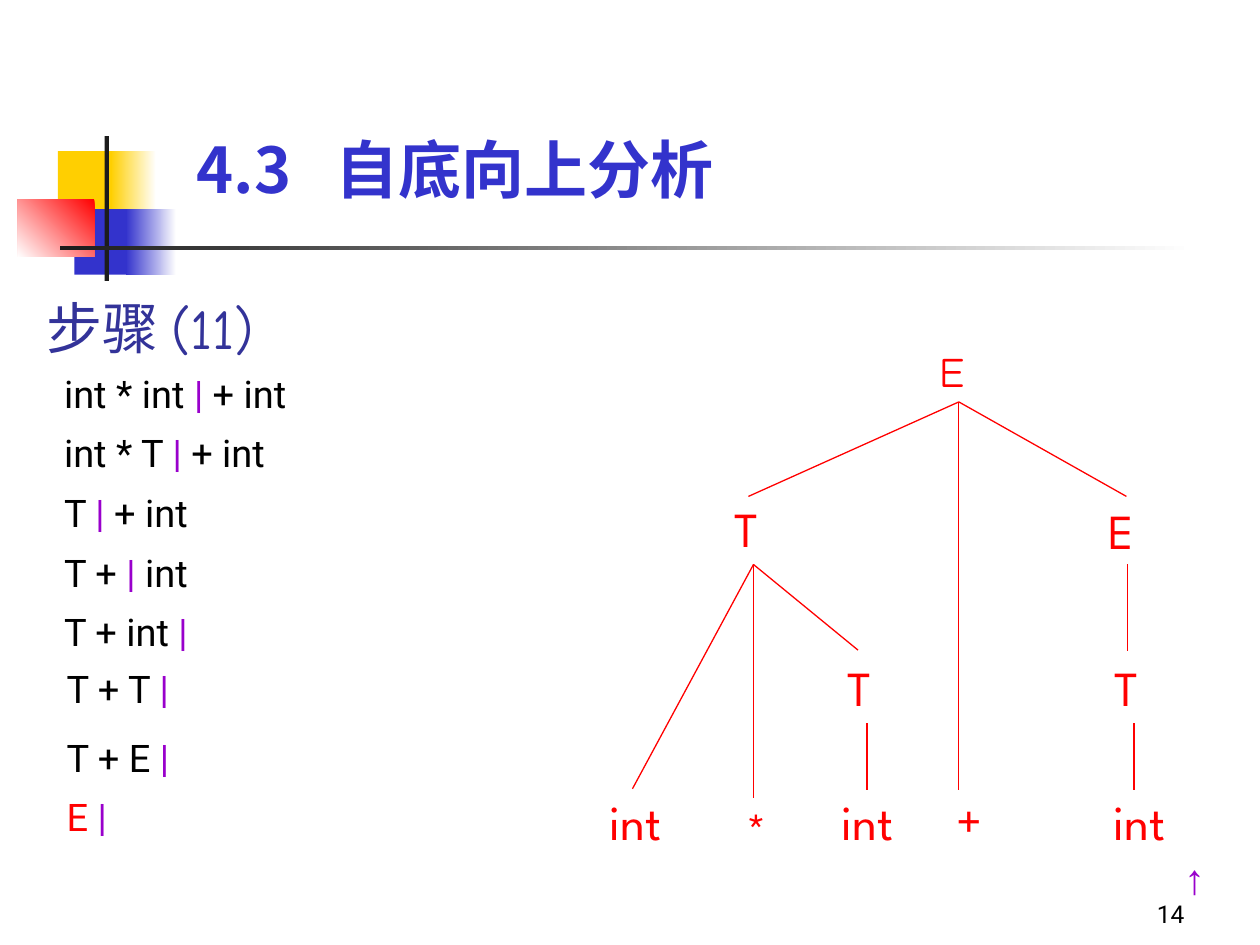
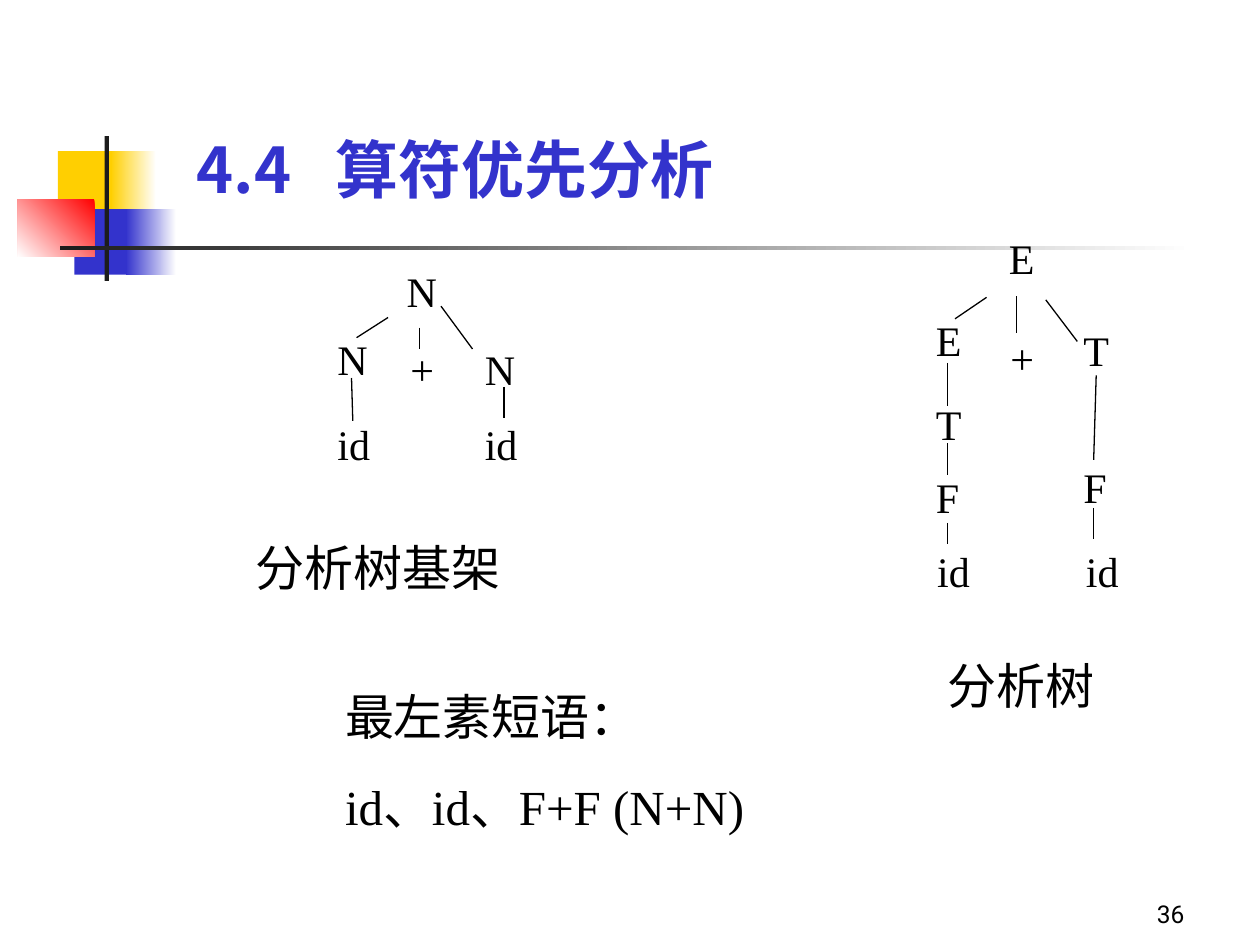
from lxml import etree
from pptx import Presentation
from pptx.dml.color import RGBColor
from pptx.enum.shapes import MSO_CONNECTOR, MSO_SHAPE
from pptx.enum.text import MSO_ANCHOR, MSO_AUTO_SIZE, PP_ALIGN
from pptx.oxml.ns import qn
from pptx.util import Inches, Pt

LEFT, RIGHT = PP_ALIGN.LEFT, PP_ALIGN.RIGHT
TOP, MIDDLE, BOTTOM = MSO_ANCHOR.TOP, MSO_ANCHOR.MIDDLE, MSO_ANCHOR.BOTTOM
NO_FIT = MSO_AUTO_SIZE.NONE
RECT, STRAIGHT = MSO_SHAPE.RECTANGLE, MSO_CONNECTOR.STRAIGHT
TITLE_ONLY = 5

COLS, ROWS = 100, 75
COLORS = {
    "black": "000000", "white": "FFFFFF", "ink": "1C1C1C", "blue": "3333CC",
    "navy": "333399", "gold": "FFCF01", "red": "FF0000", "purple": "9900CC",
}
CJK, BODY, SERIF = "Noto Sans CJK SC", "Roboto", "Times New Roman"
HAND, GEOMETRIC, ARROW_FONT = "Comic Neue", "League Spartan", "Arial"

# left, top, width, height, colours (two make a gradient), clockwise angle
EMBLEM = [
    (4.6, 12, 4.8, 5.2, ["gold"], 0),
    (8.8, 12, 3.6, 5.2, ["white", "gold"], 180),
    (5.9, 16.6, 4.6, 5.2, ["blue"], 0),
    (10, 16.6, 4, 5.2, ["white", "blue"], 180),
    (1.4, 15.8, 6.1, 4.6, ["red", "white"], 135),
    (8.3, 10.8, 0.35, 11.5, ["ink"], 0),
    (4.8, 19.5, 90, 0.35, ["white", "ink"], 180),
]


def rgb(name):
    return RGBColor.from_string(COLORS[name])


def write(tf, *paragraphs, size=24, font=SERIF, color="black", bold=False,
          align=LEFT, anchor=TOP, spacing=None, before=0, tab=None):
    """Fill a text frame; a paragraph is a string or a list of (text, colour)."""
    tf.word_wrap, tf.auto_size, tf.vertical_anchor = True, NO_FIT, anchor
    tf.margin_left = tf.margin_right = Inches(0.1)
    tf.margin_top = tf.margin_bottom = Inches(0.05)
    for i, runs in enumerate(paragraphs):
        p = tf.add_paragraph() if i else tf.paragraphs[0]
        p.alignment = align
        if spacing:
            p.line_spacing = spacing
        if i:
            p.space_before = Pt(before)
        if tab:
            tabs = etree.SubElement(p._p.get_or_add_pPr(), qn("a:tabLst"))
            etree.SubElement(tabs, qn("a:tab"), pos=str(Inches(tab)), algn="l")
        for text, shade in [(runs, color)] if isinstance(runs, str) else runs:
            r = p.add_run()
            r.text = text
            r.font.size, r.font.name, r.font.bold = Pt(size), font, bold
            r.font.color.rgb = rgb(shade)
            ea = etree.SubElement(r._r.get_or_add_rPr(), qn("a:ea"))
            ea.set("typeface", CJK)


class Deck:
    """Holds the presentation, its grid and the slide being drawn."""

    def __init__(self):
        self.prs = Presentation()
        self.prs.slide_width, self.prs.slide_height = Inches(10), Inches(7.5)
        self.s = None

    def grid(self, *lengths):
        """Turn alternating columns and rows into slide lengths."""
        units = self.prs.slide_width / COLS, self.prs.slide_height / ROWS
        return [round(n * units[i % 2]) for i, n in enumerate(lengths)]

    def slide(self, section, title, number):
        self.s = self.prs.slides.add_slide(self.prs.slide_layouts[TITLE_ONLY])
        for *box, colors, angle in EMBLEM:
            self.block(box, colors, angle)
        sp = self.s.shapes.title
        sp.left, sp.top, sp.width, sp.height = self.grid(14.6, 7.6, 74.6, 9.3)
        write(sp.text_frame, f"{section}\t{title}", size=36, font=CJK,
              color="blue", bold=True, anchor=BOTTOM, tab=1.1)
        self.text((74.2, 69.2, 20.8, 5), number, size=14, font=BODY,
                  align=RIGHT, anchor=BOTTOM)

    def block(self, box, colors, angle):
        sp = self.s.shapes.add_shape(RECT, *self.grid(*box))
        sp.shadow.inherit = False
        sp.line.fill.background()
        if len(colors) == 1:
            sp.fill.solid()
            sp.fill.fore_color.rgb = rgb(colors[0])
            return
        sp.fill.gradient()
        sp.fill.gradient_angle = 360 - angle
        for stop, color in zip(sp.fill.gradient_stops, colors):
            stop.color.rgb = rgb(color)

    def text(self, box, *paragraphs, **fmt):
        sp = self.s.shapes.add_textbox(*self.grid(*box))
        write(sp.text_frame, *paragraphs, **fmt)

    def edge(self, ends, color):
        sp = self.s.shapes.add_connector(STRAIGHT, *self.grid(*ends))
        sp.line.color.rgb, sp.line.width = rgb(color), Pt(0.75)
        etree.SubElement(sp._element.spPr, qn("a:effectLst"))

    def tree(self, nodes, edges, color="black", **fmt):
        """Draw nodes (label, left, top) and edges (x1, y1, x2, y2)."""
        for ends in edges:
            self.edge(ends, color)
        for label, left, top in nodes:
            width = {1: 5, 2: 6, 3: 7.5}[len(label)]
            self.text((left, top, width, 5.7), label, color=color, **fmt)


def step_runs(step, color):
    """Colour the bar that marks the reading position."""
    before, bar, after = step.partition("|")
    return [(before, color), (bar, "purple"), (after, color)]


def bottom_up_slide(deck):
    deck.slide("4.3", "自底向上分析", "14")
    deck.text((2.7, 21, 22.1, 10), "步骤 (11)", size=32, font=HAND,
              color="navy", anchor=MIDDLE)
    reading = ["int * int | + int", "int * T | + int", "T | + int",
               "T + | int", "T + int |"]
    steps = [(step, 4.1, 29.6 + 4.73 * i) for i, step in enumerate(reading)]
    steps += [("T + T |", 4.3, 53), ("T + E |", 4.3, 58.5), ("E |", 4.3, 63.2)]
    for step, left, top in steps:
        color = "red" if step == "E |" else "black"
        deck.text((left, top, 32.5, 5), step_runs(step, color), size=21.7,
                  font=BODY, spacing=0.8)

    root, product, leaf_top = (76.1, 31.9), (59.8, 44.8), 62.7
    edges = [
        (*root, 59.4, 39.4), (*root, 89.4, 39.4), (*root, 76.1, leaf_top),
        (*product, 50.2, 62.6), (*product, 68.1, 51.6), (*product, 59.8, 63.3),
        (89.5, 44.8, 89.5, 51.7),
        (68.8, 57.4, 68.8, leaf_top), (90, 57.4, 90, leaf_top),
    ]
    nodes = [
        ("T", 57.3, 39.1), ("E", 87, 39.2), ("T", 66.3, 51.7), ("T", 87.5, 51.7),
        ("int", 47.4, 62.3), ("*", 58.3, 63), ("int", 65.8, 62.3),
        ("+", 74.9, 62.2), ("int", 87.4, 62.3),
    ]
    deck.tree(nodes, edges, color="red", size=28, font=GEOMETRIC)
    deck.text((73.6, 26.9, 5, 5), "E", font=HAND, color="red")
    deck.text((93, 67.2, 5.8, 5), "↑", font=ARROW_FONT, color="purple")


def precedence_slide(deck):
    deck.slide("4.4", "算符优先分析", "36")
    skeleton_nodes = [
        ("N", 31.3, 20.6), ("N", 25.8, 26), ("+", 31.6, 26.8), ("N", 37.5, 26.8),
        ("id", 25.8, 32.7), ("id", 37.5, 32.7),
    ]
    skeleton_edges = [
        (30.8, 25.2, 28.3, 26.8), (33.3, 26, 33.3, 27.7), (35, 24.3, 37.5, 27.7),
        (27.9, 30, 28, 33.4), (40, 30.7, 40, 33.2),
    ]
    parse_nodes = [
        ("E", 79.1, 18), ("E", 73.3, 24.5), ("+", 79.2, 25.9), ("T", 85, 25.3),
        ("T", 73.3, 31.1), ("F", 73.3, 36.9), ("F", 85, 36.1),
        ("id", 73.4, 42.8), ("id", 85.2, 42.8),
    ]
    parse_edges = [
        (78.3, 23.6, 75.8, 25.3), (80.7, 23.5, 80.7, 26.4), (83, 23.8, 85.5, 27.1),
        (75.2, 28.8, 75.2, 32.2), (75.2, 35.2, 75.2, 37.7),
        (75.2, 41.5, 75.2, 43.2), (87, 29.8, 86.8, 36.5), (86.8, 40.3, 86.8, 42.8),
    ]
    deck.tree(skeleton_nodes, skeleton_edges)
    deck.tree(parse_nodes, parse_edges)
    deck.text((19.3, 42.2, 34.4, 5.7), "分析树基架", size=28)
    deck.text((74.2, 51.5, 14.6, 5.7), "分析树", size=28)
    deck.text((26.4, 54, 37, 17.5), "最左素短语：", "id、id、F+F (N+N)",
              size=28, before=17.5)


def main():
    deck = Deck()
    bottom_up_slide(deck)
    precedence_slide(deck)
    deck.prs.save("out.pptx")


if __name__ == "__main__":
    main()
